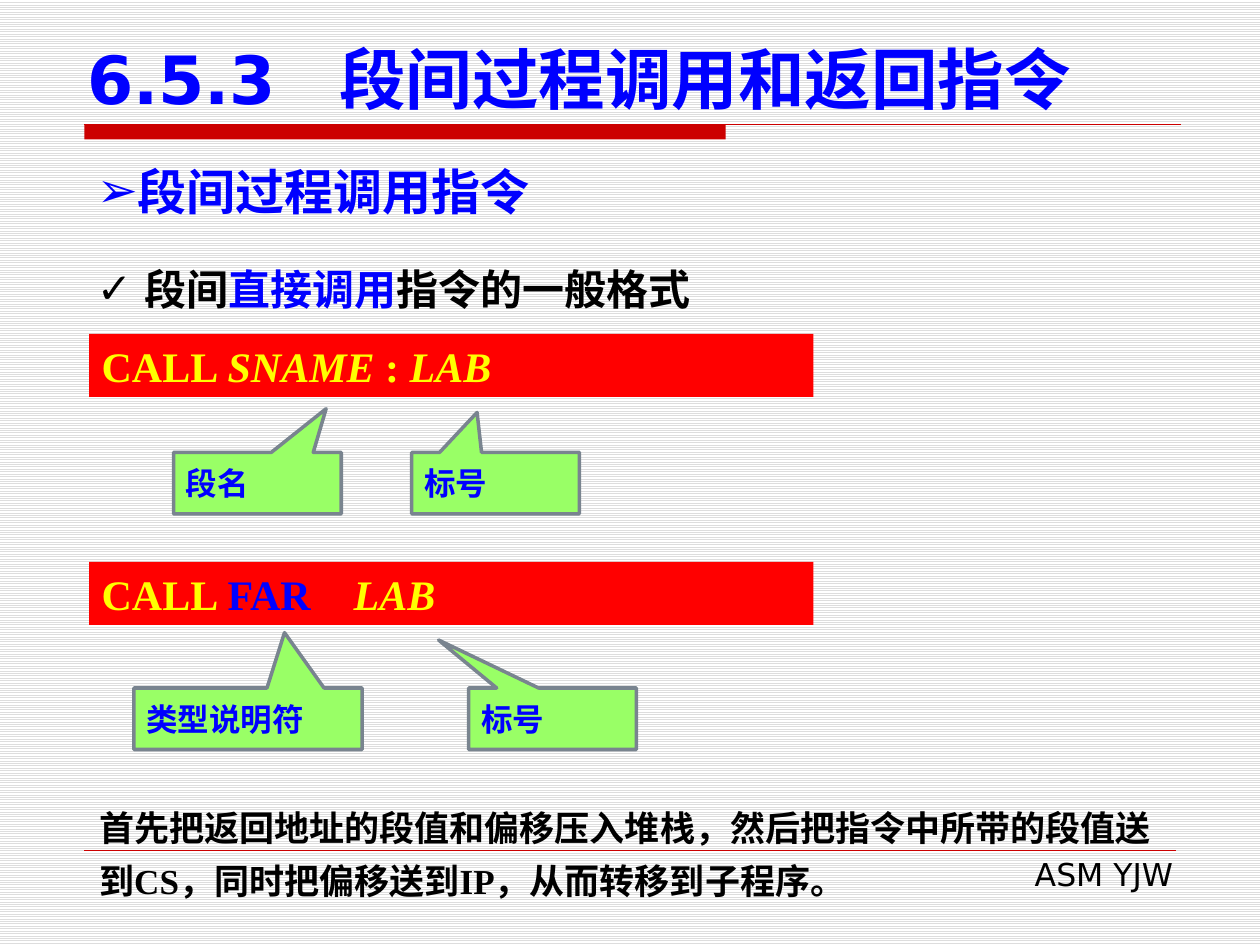
"""Build the slide on inter-segment procedure calls."""
from lxml import etree
from pptx import Presentation
from pptx.dml.color import RGBColor
from pptx.enum.dml import MSO_PATTERN
from pptx.enum.shapes import MSO_CONNECTOR, MSO_SHAPE
from pptx.enum.text import MSO_ANCHOR, MSO_AUTO_SIZE, PP_ALIGN
from pptx.oxml.ns import qn
from pptx.util import Cm, Pt

RECT, CALLOUT = MSO_SHAPE.RECTANGLE, MSO_SHAPE.RECTANGULAR_CALLOUT
STRAIGHT = MSO_CONNECTOR.STRAIGHT
TOP, MIDDLE, BOTTOM = MSO_ANCHOR.TOP, MSO_ANCHOR.MIDDLE, MSO_ANCHOR.BOTTOM
LEFT, RIGHT = PP_ALIGN.LEFT, PP_ALIGN.RIGHT
NO_FIT = MSO_AUTO_SIZE.NONE
LIGHT_HORIZONTAL = MSO_PATTERN.LIGHT_HORIZONTAL

BLACK = RGBColor(0x00, 0x00, 0x00)
WHITE = RGBColor(0xFF, 0xFF, 0xFF)
STRIPE = RGBColor(0xDD, 0xDD, 0xDD)
BLUE = RGBColor(0x00, 0x00, 0xFF)
RED = RGBColor(0xFF, 0x00, 0x00)
DARK_RED = RGBColor(0xCC, 0x00, 0x00)
YELLOW = RGBColor(0xFF, 0xFF, 0x00)
GREEN = RGBColor(0x99, 0xFF, 0x66)
GREY = RGBColor(0x79, 0x84, 0x8F)

SANS, CJK, SERIF = "DejaVu Sans", "Noto Sans CJK SC", "Times New Roman"


class SlideBuilder:
    """Hold the style and the current slide."""

    def __init__(self, prs):
        self.s = prs.slides.add_slide(prs.slide_layouts[3])
        fill = self.s.background.fill
        fill.patterned()
        fill.pattern = LIGHT_HORIZONTAL
        fill.fore_color.rgb, fill.back_color.rgb = STRIPE, WHITE

    def set_text(self, sp, runs, size, font=SANS, bold=True, anchor=TOP,
                 align=LEFT, spacing=None, bullet=None, indent=0, tabs=()):
        tf = sp.text_frame
        frame = {"word_wrap": True, "auto_size": NO_FIT, "vertical_anchor": anchor}
        for name, value in frame.items():
            setattr(tf, name, value)
        p = tf.paragraphs[0]
        for name, value in {"alignment": align, "line_spacing": spacing,
                            "space_before": Pt(0)}.items():
            setattr(p, name, value)
        pPr = p._p.get_or_add_pPr()
        pPr.set("marL", str(indent))
        pPr.set("indent", str(-indent))
        if bullet:
            etree.SubElement(pPr, qn("a:buFont"), typeface=SANS)
            etree.SubElement(pPr, qn("a:buChar"), char=bullet)
        if tabs:
            tab_list = etree.SubElement(pPr, qn("a:tabLst"))
            for tab in tabs:
                etree.SubElement(tab_list, qn("a:tab"), pos=str(tab), algn="l")
        for text, color, italic in runs:
            r = p.add_run()
            r.text = text
            for name, value in {"name": font, "size": Pt(size), "bold": bold,
                                "italic": italic}.items():
                setattr(r.font, name, value)
            r.font.color.rgb = color
            etree.SubElement(r._r.get_or_add_rPr(), qn("a:ea"), typeface=CJK)

    def placeholder(self, idx, box, runs, size, **style):
        sp = self.s.placeholders[idx]
        sp.left, sp.top, sp.width, sp.height = map(Cm, box)
        self.set_text(sp, runs, size, **style)

    def text(self, box, text, size, **style):
        sp = self.s.shapes.add_textbox(*map(Cm, box))
        self.set_text(sp, [(text, BLACK, False)], size, **style)

    def shape(self, kind, box, fill, line=None):
        sp = self.s.shapes.add_shape(kind, *map(Cm, box))
        sp.shadow.inherit = False
        sp.fill.solid()
        sp.fill.fore_color.rgb = fill
        if line is None:
            sp.line.fill.background()
        else:
            sp.line.color.rgb, sp.line.width = line, Pt(2)
        return sp

    def rule(self, y, right, width):
        c = self.s.shapes.add_connector(STRAIGHT, Cm(1.7), Cm(y), Cm(right), Cm(y))
        c.line.color.rgb, c.line.width = DARK_RED, Pt(width)
        etree.SubElement(c._element.spPr, qn("a:effectLst"))

    def code(self, top, runs):
        sp = self.shape(RECT, (1.8, top, 14.6, 1.27), RED)
        self.set_text(sp, runs, 24, font=SERIF, tabs=(Cm(3.57), Cm(5.89)))

    def callout(self, left, top, width, text, tip):
        sp = self.shape(CALLOUT, (left, top, width, 1.24), GREEN, GREY)
        sp.adjustments[0], sp.adjustments[1] = tip
        self.set_text(sp, [(text, BLUE, False)], 18, anchor=MIDDLE)


def main():
    prs = Presentation()
    prs.slide_width, prs.slide_height = Cm(25.4), Cm(19.05)
    b = SlideBuilder(prs)

    b.shape(RECT, (1.7, 2.51, 12.93, 0.3), DARK_RED)
    b.rule(2.51, 23.8, 0.75)
    b.rule(17.15, 23.7, 0.25)
    b.text((9.7, 17.12, 14.2, 1.02), "ASM YJW", 18, bold=False, align=RIGHT)

    b.placeholder(0, (1.5, 0.71, 23.01, 1.8),
                  [("6.5.3\t段间过程调用和返回指令", BLUE, False)], 38,
                  anchor=BOTTOM, tabs=(Cm(5.04),))
    b.placeholder(1, (1.7, 3.12, 22, 1.45),
                  [("段间过程调用指令", BLUE, False)], 28, bullet="➢")
    b.placeholder(2, (1.7, 4.93, 22.4, 1.55),
                  [("段间", BLACK, False), ("直接调用", BLUE, False),
                   ("指令的一般格式", BLACK, False)], 24, font=CJK,
                  spacing=Pt(36), bullet="✓", indent=Cm(0.95))

    b.code(6.73, [("CALL\t", YELLOW, False), ("SNAME", YELLOW, True),
                  (" :", YELLOW, False), (" LAB", YELLOW, True)])
    b.code(11.33, [("CALL\t", YELLOW, False), ("FAR\t", BLUE, False),
                   ("LAB", YELLOW, True)])
    for left, top, width, text, tip in (
            (3.5, 9.12, 3.38, "段名", (0.41, -1.21)),
            (8.3, 9.12, 3.38, "标号", (-0.11, -1.15)),
            (9.45, 13.87, 3.38, "标号", (-0.68, -1.28)),
            (2.7, 13.87, 4.6, "类型说明符", (0.16, -1.4))):
        b.callout(left, top, width, text, tip)

    b.text((1.75, 15.93, 22.38, 2.29),
           "首先把返回地址的段值和偏移压入堆栈，然后把指令中所带的段值送到CS，"
           "同时把偏移送到IP，从而转移到子程序。", 20, font=SERIF, spacing=Pt(30))
    prs.save("out.pptx")


if __name__ == "__main__":
    main()
